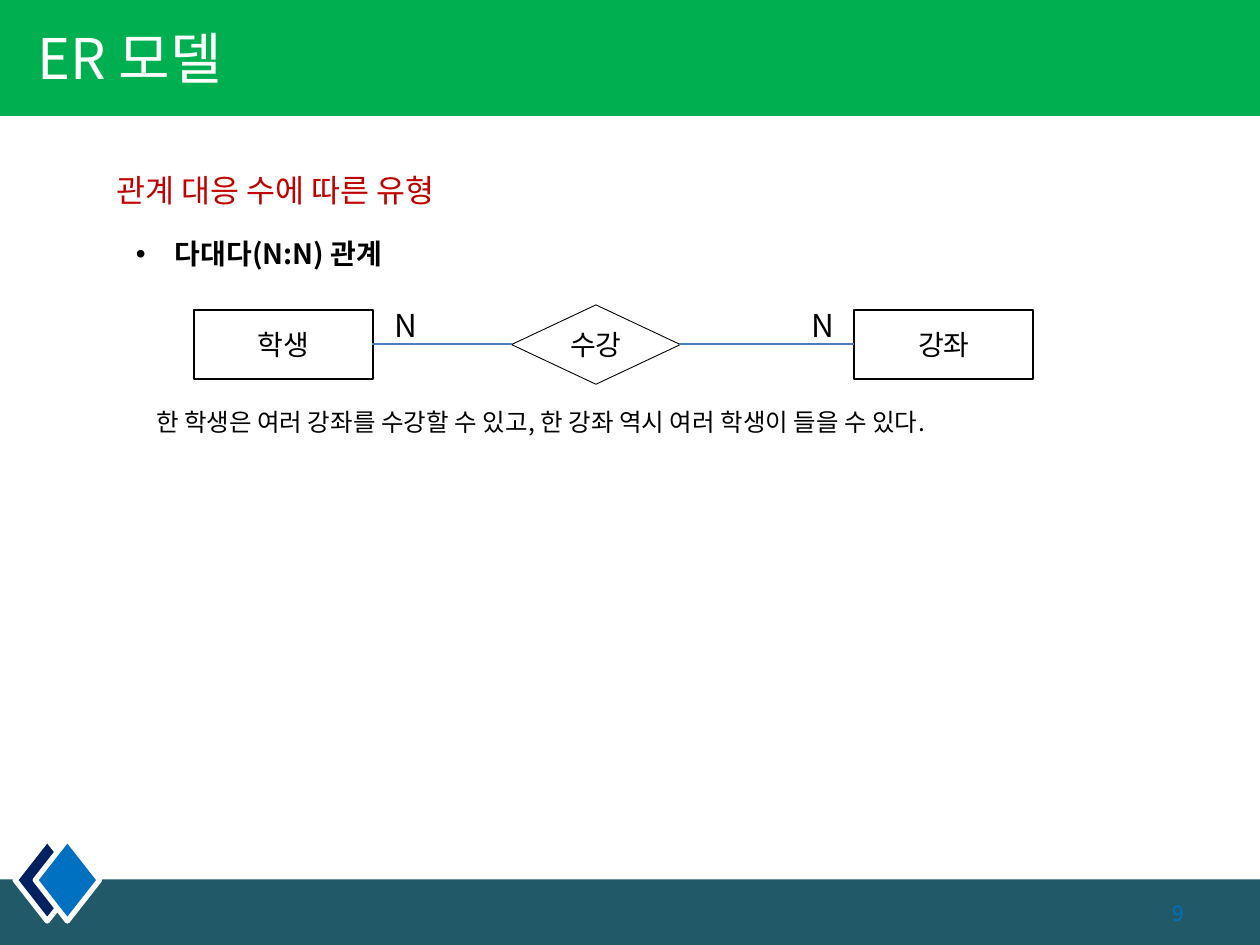
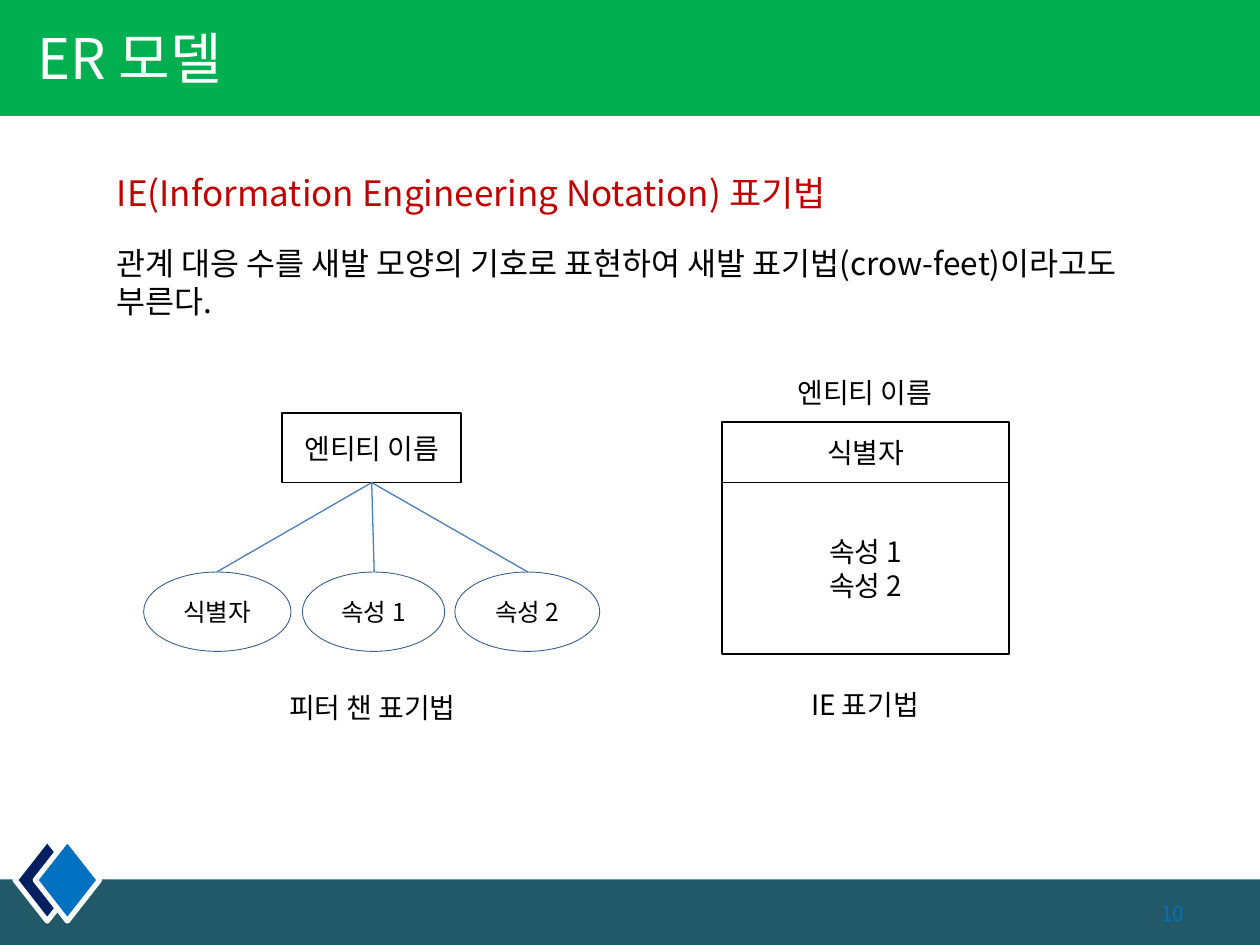
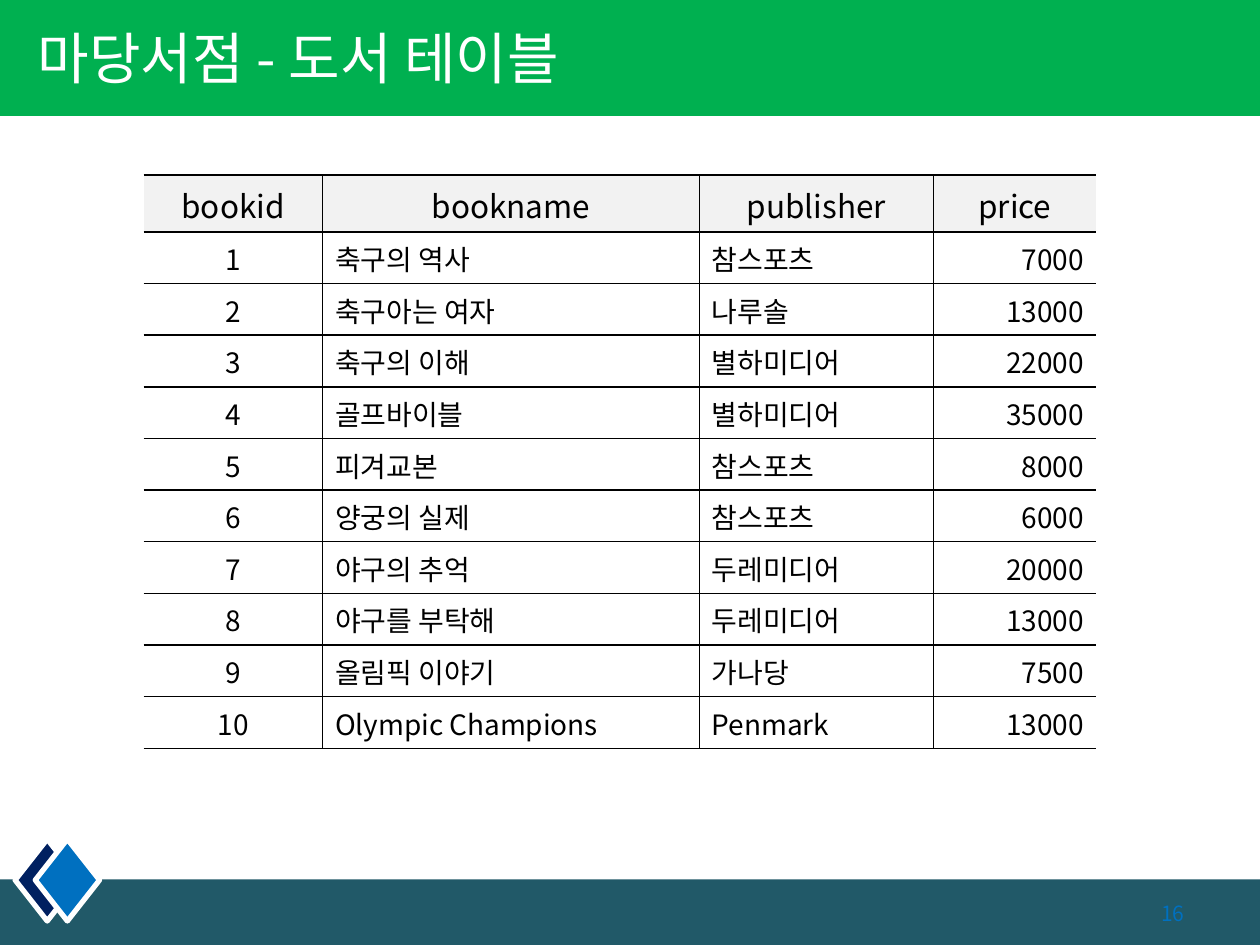
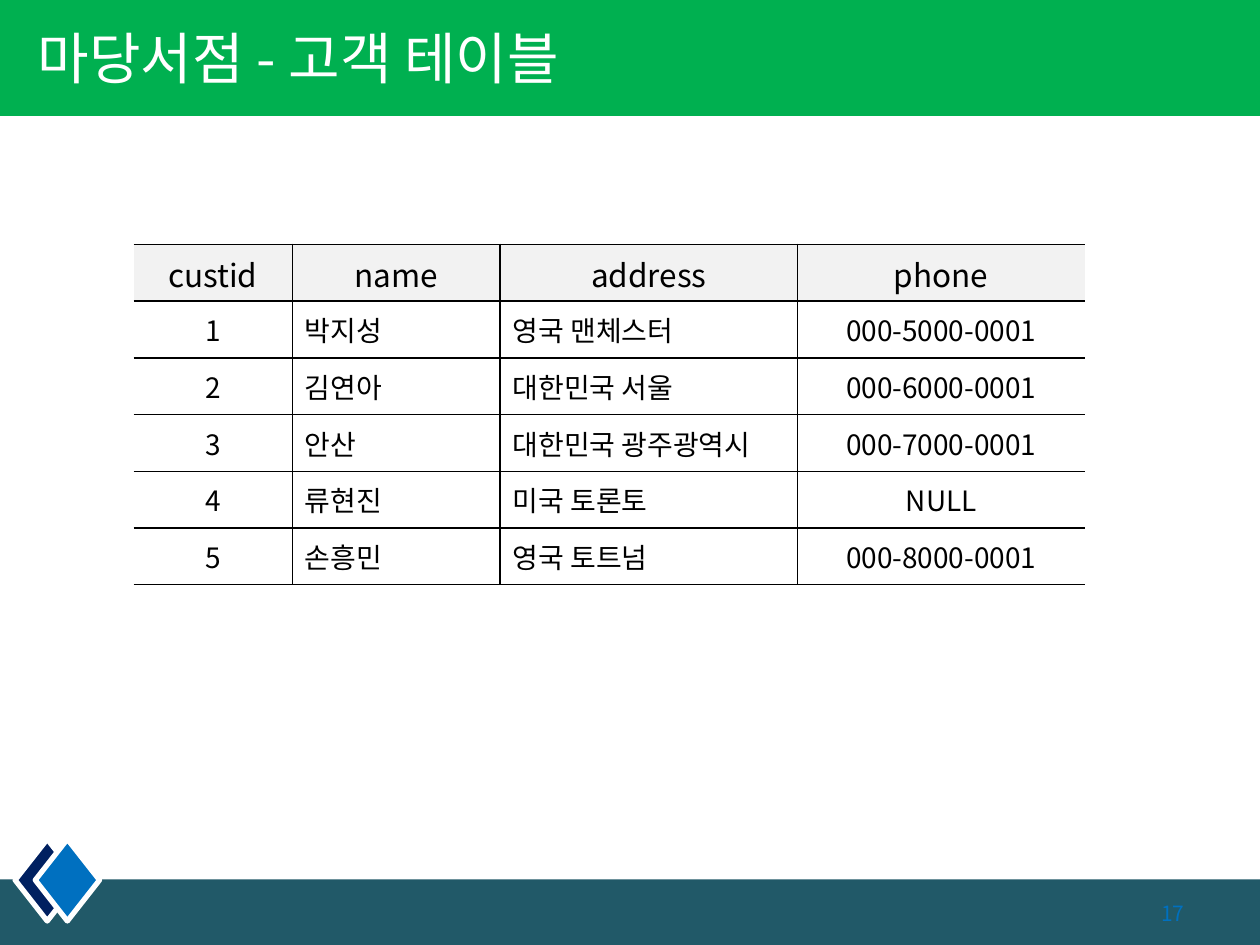
import pptx
import pptx.util
import pptx.dml.color
import pptx.enum.shapes
import pptx.enum.text
import pptx.oxml
import pptx.oxml.ns
import lxml.etree

Inches = pptx.util.Inches
Pt = pptx.util.Pt
Kind = pptx.enum.shapes.MSO_SHAPE
Align = pptx.enum.text.PP_ALIGN
Middle = pptx.enum.text.MSO_ANCHOR.MIDDLE
qn = pptx.oxml.ns.qn

FONT = "Noto Sans CJK KR"
BLACK, WHITE, RED = "000000", "FFFFFF", "C00000"
GREEN, TEAL, NAVY, BLUE = "00B050", "215968", "002060", "0070C0"
EDGE, WIRE, GRAY = "3A5F8C", "4B7EBC", "F2F2F2"
LEFT, MID, RIGHT = Align.LEFT, Align.CENTER, Align.RIGHT


def tint(color, code):
    color.rgb = pptx.dml.color.RGBColor.from_string(code)


def write(frame, text, size, code=BLACK, align=LEFT, bold=False):
    frame.word_wrap = True
    for i, line in enumerate(text.split("\n")):
        para = frame.paragraphs[0] if i == 0 else frame.add_paragraph()
        para.text = line
        para.alignment = align
        para.font.size = Pt(size)
        para.font.name = FONT
        para.font.bold = bold
        tint(para.font.color, code)
        props = para._p.pPr.find(qn("a:defRPr"))
        lxml.etree.SubElement(props, qn("a:ea"), typeface=FONT)


deck = pptx.Presentation()
deck.slide_width = Inches(10)
deck.slide_height = Inches(7.5)

bands = [
    (Kind.RECTANGLE, 0, 6.98, 10, 0.52, TEAL, 0),
    (Kind.DIAMOND, 0.12, 6.66, 0.51, 0.65, NAVY, 3),
    (Kind.DIAMOND, 0.28, 6.66, 0.51, 0.65, BLUE, 3),
    (Kind.RECTANGLE, 0, 0, 10, 0.92, GREEN, 0),
]
heads = [
    ("ER 모델", 9),
    ("ER 모델", 10),
    ("마당서점 - 도서 테이블", 16),
    ("마당서점 - 고객 테이블", 17),
]
for title, page in heads:
    slide = deck.slides.add_slide(deck.slide_layouts[6])
    for kind, x, y, w, h, code, rim in bands:
        band = slide.shapes.add_shape(kind, Inches(x), Inches(y), Inches(w), Inches(h))
        band.shadow.inherit = False
        band.fill.solid()
        tint(band.fill.fore_color, code)
        if rim:
            tint(band.line.color, WHITE)
            band.line.width = Pt(rim)
        else:
            band.line.fill.background()
    box = slide.shapes.add_textbox(0, Inches(-0.02), Inches(6.26), Inches(0.94))
    box.text_frame.margin_left = Inches(0.3)
    box.text_frame.vertical_anchor = Middle
    write(box.text_frame, title, 32, WHITE)
    box = slide.shapes.add_textbox(Inches(8.5), Inches(7.05), Inches(1), Inches(0.4))
    box.text_frame.vertical_anchor = Middle
    write(box.text_frame, str(page), 12, BLUE, RIGHT)

mapping, notation, books, clients = deck.slides

nodes = [
    (mapping, Kind.RECTANGLE, 1.54, 2.46, 1.42, 0.55, BLACK, 1, "학생", 16),
    (mapping, Kind.RECTANGLE, 6.78, 2.46, 1.42, 0.55, BLACK, 1, "강좌", 16),
    (mapping, Kind.DIAMOND, 4.06, 2.42, 1.34, 0.63, BLACK, 0.5, "수강", 16),
    (notation, Kind.OVAL, 1.14, 4.54, 1.17, 0.63, EDGE, 0.5, "식별자", 14),
    (notation, Kind.OVAL, 2.4, 4.54, 1.13, 0.63, EDGE, 0.5, "속성 1", 14),
    (notation, Kind.OVAL, 3.61, 4.54, 1.15, 0.63, EDGE, 0.5, "속성 2", 14),
    (notation, Kind.RECTANGLE, 2.24, 3.28, 1.42, 0.55, BLACK, 1, "엔티티 이름", 16),
    (notation, Kind.RECTANGLE, 5.73, 3.35, 2.28, 0.48, BLACK, 1, "식별자", 16),
    (notation, Kind.RECTANGLE, 5.73, 3.83, 2.28, 1.36, BLACK, 1, "속성 1\n속성 2", 16),
]
for slide, kind, x, y, w, h, code, rim, text, size in nodes:
    node = slide.shapes.add_shape(kind, Inches(x), Inches(y), Inches(w), Inches(h))
    node.shadow.inherit = False
    node.fill.background()
    tint(node.line.color, code)
    node.line.width = Pt(rim)
    node.text_frame.vertical_anchor = Middle
    write(node.text_frame, text, size, align=MID)

wires = [(mapping, 2.95, 2.73, 4.06, 2.73), (mapping, 5.39, 2.73, 6.78, 2.73)]
wires += [(notation, 2.95, 3.83, x, 4.54) for x in (1.72, 2.97, 4.19)]
for slide, x1, y1, x2, y2 in wires:
    wire = slide.shapes.add_connector(
        pptx.enum.shapes.MSO_CONNECTOR.STRAIGHT,
        Inches(x1), Inches(y1), Inches(x2), Inches(y2))
    tint(wire.line.color, WIRE)
    wire.line.width = Pt(0.75)
    lxml.etree.SubElement(wire._element.spPr, qn("a:effectLst"))

notes = [
    (mapping, 0.83, 1.31, 3.07, 0.4, "관계 대응 수에 따른 유형", 18, RED, LEFT),
    (mapping, 3.03, 2.38, 0.39, 0.4, "N", 18, BLACK, LEFT),
    (mapping, 6.34, 2.38, 0.39, 0.4, "N", 18, BLACK, LEFT),
    (mapping, 1.14, 3.18, 8.27, 0.34,
     "한 학생은 여러 강좌를 수강할 수 있고, 한 강좌 역시 여러 학생이 들을 수 있다.", 14, BLACK, LEFT),
    (notation, 0.83, 1.31, 6.14, 0.44,
     "IE(Information Engineering Notation) 표기법", 20, RED, LEFT),
    (notation, 0.83, 1.89, 8.27, 0.71,
     "관계 대응 수를 새발 모양의 기호로 표현하여 새발 표기법(crow-feet)이라고도 부른다.", 18, BLACK, LEFT),
    (notation, 2.01, 5.43, 1.89, 0.37, "피터 챈 표기법", 16, BLACK, MID),
    (notation, 5.92, 2.93, 1.89, 0.37, "엔티티 이름", 16, BLACK, MID),
    (notation, 5.92, 5.41, 1.89, 0.37, "IE 표기법", 16, BLACK, MID),
]
for slide, x, y, w, h, text, size, code, align in notes:
    box = slide.shapes.add_textbox(Inches(x), Inches(y), Inches(w), Inches(h))
    write(box.text_frame, text, size, code, align)

box = mapping.shapes.add_textbox(Inches(0.98), Inches(1.83), Inches(2.52), Inches(0.37))
write(box.text_frame, "다대다(N:N) 관계", 16, bold=True)
props = box.text_frame.paragraphs[0]._p.pPr
props.set("marL", str(Inches(0.31)))
props.set("indent", str(Inches(-0.31)))
dot = lxml.etree.Element(qn("a:buChar"), char="•")
props.insert(0, dot)
face = lxml.etree.Element(qn("a:buFont"), typeface="Arial")
props.insert(0, face)

stock = [
    ("bookid", "bookname", "publisher", "price"),
    ("1", "축구의 역사", "참스포츠", "7000"),
    ("2", "축구아는 여자", "나루솔", "13000"),
    ("3", "축구의 이해", "별하미디어", "22000"),
    ("4", "골프바이블", "별하미디어", "35000"),
    ("5", "피겨교본", "참스포츠", "8000"),
    ("6", "양궁의 실제", "참스포츠", "6000"),
    ("7", "야구의 추억", "두레미디어", "20000"),
    ("8", "야구를 부탁해", "두레미디어", "13000"),
    ("9", "올림픽 이야기", "가나당", "7500"),
    ("10", "Olympic Champions", "Penmark", "13000"),
]
people = [
    ("custid", "name", "address", "phone"),
    ("1", "박지성", "영국 맨체스터", "000-5000-0001"),
    ("2", "김연아", "대한민국 서울", "000-6000-0001"),
    ("3", "안산", "대한민국 광주광역시", "000-7000-0001"),
    ("4", "류현진", "미국 토론토", "NULL"),
    ("5", "손흥민", "영국 토트넘", "000-8000-0001"),
]
grids = [
    (books, 1.14, 1.39, (1.42, 2.99, 1.86, 1.29), 0.41, stock, RIGHT),
    (clients, 1.06, 1.94, (1.26, 1.65, 2.36, 2.28), 0.45, people, MID),
]
for slide, x, y, wide, tall, rows, last in grids:
    grid = slide.shapes.add_table(
        len(rows), len(wide), Inches(x), Inches(y),
        Inches(sum(wide)), Inches(0.45 + tall * (len(rows) - 1))).table
    grid.first_row = False
    grid.horz_banding = False
    for col, w in zip(grid.columns, wide):
        col.width = Inches(w)
    for r, row in enumerate(rows):
        grid.rows[r].height = Inches(tall if r else 0.45)
        for c, text in enumerate(row):
            cell = grid.cell(r, c)
            cell.vertical_anchor = Middle
            align = (MID, LEFT, LEFT, last)[c] if r else MID
            write(cell.text_frame, text, 16 if r else 18, align=align)
            for side in "LRTB":
                edge = lxml.etree.SubElement(
                    cell._tc.get_or_add_tcPr(), qn("a:ln" + side), w=str(Pt(1)))
                if (side, c) in (("L", 0), ("R", len(wide) - 1)):
                    lxml.etree.SubElement(edge, qn("a:noFill"))
                else:
                    fill = lxml.etree.SubElement(edge, qn("a:solidFill"))
                    lxml.etree.SubElement(fill, qn("a:srgbClr"), val=BLACK)
            if r:
                cell.fill.background()
            else:
                cell.fill.solid()
                tint(cell.fill.fore_color, GRAY)

deck.save("out.pptx")
